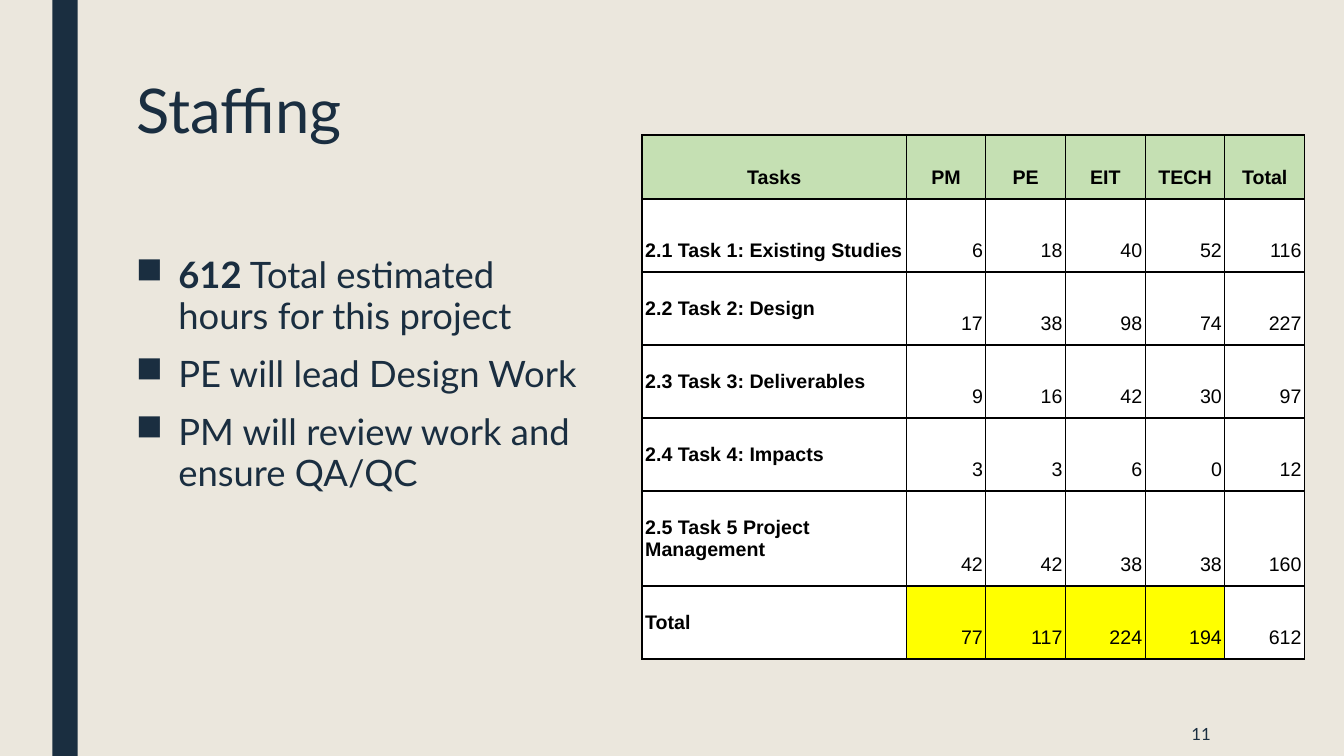
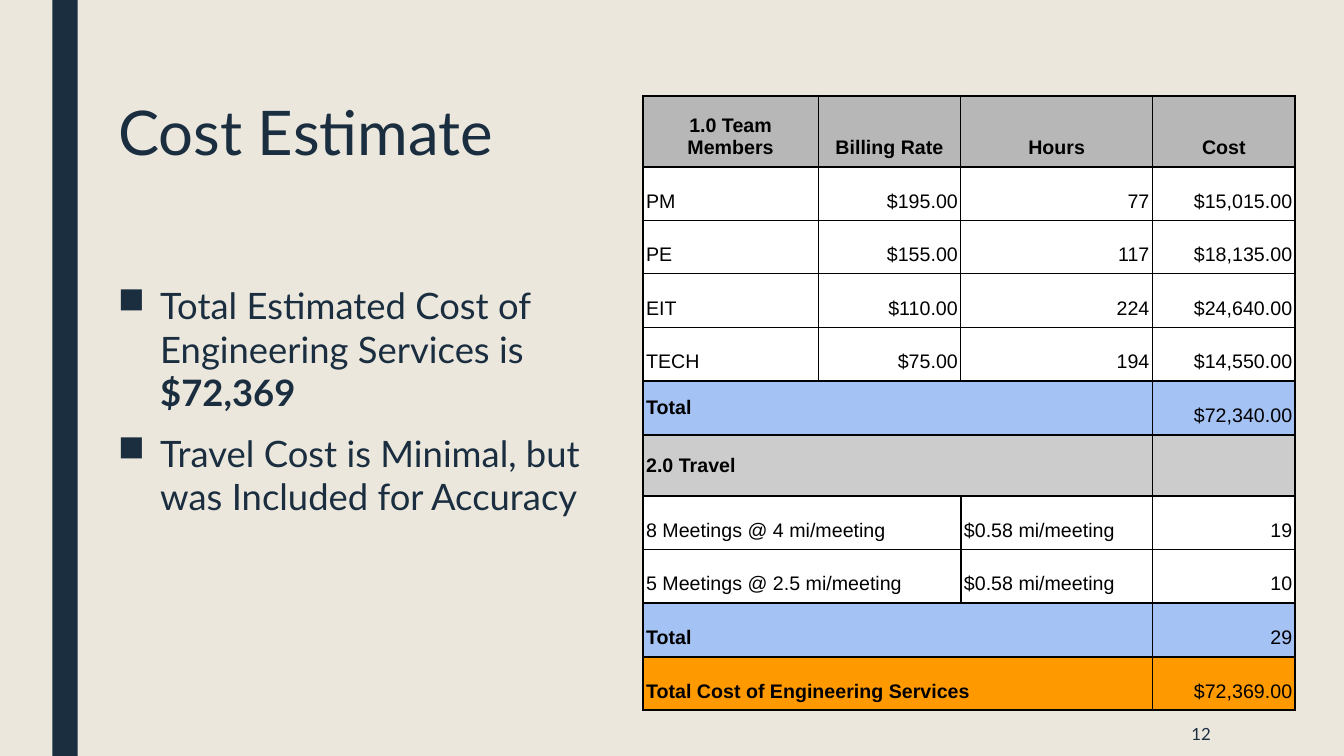
"""Build the staffing and cost estimate slides of a project proposal."""
import pptx
import pptx.dml.color
import pptx.enum.shapes
import pptx.enum.text
import pptx.oxml
import pptx.oxml.ns
import pptx.util

ALIGN = pptx.enum.text.PP_ALIGN
ANCHOR = pptx.enum.text.MSO_ANCHOR
NAVY, SAND, WHITE, BLACK = "1A2E40", "EBE7DD", "FFFFFF", "000000"
GREEN, YELLOW, GRAY, SILVER = "C5E0B3", "FFFF00", "B7B7B7", "CCCCCC"
BLUE, ORANGE = "A4C2F4", "FF9900"
THICK, THIN = pptx.util.Pt(1.5), pptx.util.Pt(0.75)


def rgb(value):
    return pptx.dml.color.RGBColor.from_string(value)


def write(paragraph, text, size=26, font="Lato", color=NAVY, bold=False,
          align=ALIGN.LEFT, spacing=None):
    run = paragraph.add_run()
    run.text = text
    run.font.size = pptx.util.Pt(size)
    run.font.name = font
    run.font.bold = bold
    run.font.color.rgb = rgb(color)
    paragraph.alignment = align
    if spacing:
        paragraph.line_spacing = spacing


deck = pptx.Presentation()
deck.slide_width = pptx.util.Inches(13.33)
deck.slide_height = pptx.util.Inches(7.5)
col = deck.slide_width / 100
row = deck.slide_height / 100
deck.slide_master.background.fill.solid()
deck.slide_master.background.fill.fore_color.rgb = rgb(SAND)

staffing = {
    "title": "Staffing", "number": "11", "left": 9.38, "title_top": 10,
    "body": (33.2, 35.4, 52.27), "spacing": 0.94,
    "points": [
        [("612", True), (" Total estimated hours for this project", False)],
        [("PE will lead Design Work", False)],
        [("PM will review work and ensure QA/QC", False)],
    ],
    "table_at": (47.78, 17.87), "padding": 0.1,
    "columns": [19.65] + [5.93] * 5,
    "rows": [8.47] + [9.66] * 4 + [12.57, 9.66],
    "cells": [
        ["Tasks", "PM", "PE", "EIT", "TECH", "Total"],
        ["2.1 Task 1: Existing Studies", "6", "18", "40", "52", "116"],
        ["2.2 Task 2: Design", "17", "38", "98", "74", "227"],
        ["2.3 Task 3: Deliverables", "9", "16", "42", "30", "97"],
        ["2.4 Task 4: Impacts", "3", "3", "6", "0", "12"],
        ["2.5 Task 5 Project Management", "42", "42", "38", "38", "160"],
        ["Total", "77", "117", "224", "194", "612"],
    ],
    "fills": {0: [GREEN] * 6, 6: [WHITE] + [YELLOW] * 4 + [WHITE]},
    "middle_labels": range(2, 7), "thin_below": (),
}
cost = {
    "title": "Cost Estimate", "number": "12", "left": 8.03, "title_top": 12.93,
    "body": (36.8, 36.08, 33.07), "spacing": 1.0,
    "points": [
        [("Total Estimated Cost of Engineering Services is ", False),
         ("$72,369", True)],
        [("Travel Cost is Minimal, but was Included for Accuracy", False)],
    ],
    "table_at": (47.85, 12.67), "padding": 0.08,
    "columns": [13.02, 10.63, 14.25, 10.63],
    "rows": [9.39] + [7.09] * 5 + [8.13] + [7.09] * 4,
    "cells": [
        ["1.0 Team Members", "Billing Rate", "Hours", "Cost"],
        ["PM", "$195.00", "77", "$15,015.00"],
        ["PE", "$155.00", "117", "$18,135.00"],
        ["EIT", "$110.00", "224", "$24,640.00"],
        ["TECH", "$75.00", "194", "$14,550.00"],
        ["Total", None, None, "$72,340.00"],
        ["2.0 Travel", None, None, ""],
        ["8 Meetings @ 4 mi/meeting", None, "$0.58 mi/meeting", "19"],
        ["5 Meetings @ 2.5 mi/meeting", None, "$0.58 mi/meeting", "10"],
        ["Total", None, None, "29"],
        ["Total Cost of Engineering Services", None, None, "$72,369.00"],
    ],
    "fills": {0: [GRAY] * 4, 5: [BLUE] * 4, 6: [SILVER] * 4,
              9: [BLUE] * 4, 10: [ORANGE] * 4},
    "middle_labels": (5, 6), "thin_below": (1, 2, 3, 7),
}

for content in (staffing, cost):
    slide = deck.slides.add_slide(deck.slide_layouts[5])
    left = int(content["left"] * col)

    band = slide.shapes.add_shape(
        pptx.enum.shapes.MSO_SHAPE.RECTANGLE,
        int(3.9 * col), 0, int(1.88 * col), deck.slide_height)
    band.shadow.inherit = False
    band.fill.solid()
    band.fill.fore_color.rgb = rgb(NAVY)
    band.line.fill.background()

    title = slide.shapes.title
    title.left, title.top = left, int(content["title_top"] * row)
    title.width, title.height = int(78.75 * col), int(21.6 * row)
    title.text_frame.vertical_anchor = ANCHOR.TOP
    write(title.text_frame.paragraphs[0], content["title"], size=44, spacing=0.89)

    top, width, height = content["body"]
    body = slide.shapes.add_textbox(
        left, int(top * row), int(width * col), int(height * row)).text_frame
    body.word_wrap = True
    for index, point in enumerate(content["points"]):
        paragraph = body.add_paragraph() if index else body.paragraphs[0]
        for text, bold in point:
            write(paragraph, text, bold=bold, spacing=content["spacing"])
        paragraph.space_before = pptx.util.Pt(10)
        paragraph.space_after = pptx.util.Pt(2)
        properties = paragraph._p.get_or_add_pPr()
        indent = pptx.util.Inches(0.42)
        properties.set("marL", str(indent))
        properties.set("indent", str(-indent))
        properties.append(pptx.oxml.parse_xml(
            f'<a:buChar {pptx.oxml.ns.nsdecls("a")} char="■"/>'))

    table_left, table_top = content["table_at"]
    widths, heights = content["columns"], content["rows"]
    table = slide.shapes.add_table(
        len(heights), len(widths), int(table_left * col), int(table_top * row),
        int(sum(widths) * col), int(sum(heights) * row)).table
    table.first_row = table.horz_banding = False
    for column, share in zip(table.columns, widths):
        column.width = int(share * col)
    for line, share in zip(table.rows, heights):
        line.height = int(share * row)

    for r, texts in enumerate(content["cells"]):
        fills = content["fills"].get(r, [WHITE] * len(texts))
        above = THIN if r - 1 in content["thin_below"] else THICK
        below = THIN if r in content["thin_below"] else THICK
        for c, text in enumerate(texts):
            if text is None:
                continue
            end = c + 1
            while end < len(texts) and texts[end] is None:
                end += 1
            before = THICK if c == 0 or texts[c - 1] is None else THIN
            after = THICK if end == len(texts) or end - c > 1 else THIN
            for part in range(c, end):
                properties = table.cell(r, part)._tc.get_or_add_tcPr()
                for side, weight in zip("LRTB", (before, after, above, below)):
                    properties.append(pptx.oxml.parse_xml(
                        f'<a:ln{side} {pptx.oxml.ns.nsdecls("a")} w="{weight}">'
                        f'<a:solidFill><a:srgbClr val="{BLACK}"/></a:solidFill>'
                        f'</a:ln{side}>'))
            cell = table.cell(r, c)
            if end - c > 1:
                cell.merge(table.cell(r, end - 1))
            cell.fill.solid()
            cell.fill.fore_color.rgb = rgb(fills[c])
            cell.margin_left = cell.margin_right = pptx.util.Inches(0.03)
            cell.margin_top = cell.margin_bottom = pptx.util.Inches(content["padding"])
            middle = c == 0 and r in content["middle_labels"]
            cell.vertical_anchor = ANCHOR.MIDDLE if middle else ANCHOR.BOTTOM
            if r == 0:
                align = ALIGN.CENTER
            elif c == 0 or "meeting" in text:
                align = ALIGN.LEFT
            else:
                align = ALIGN.RIGHT
            bold = r == 0 or c == 0 and text.startswith(("2.", "Total"))
            write(cell.text_frame.paragraphs[0], text, size=14, font="Arial",
                  color=BLACK, bold=bold, align=align)

    page_number = slide.shapes.add_textbox(
        int(77.7 * col), int(94.13 * row), int(13.13 * col), int(5.87 * row)).text_frame
    page_number.word_wrap = True
    page_number.vertical_anchor = ANCHOR.MIDDLE
    write(page_number.paragraphs[0], content["number"], size=12, align=ALIGN.RIGHT)

deck.save("out.pptx")
